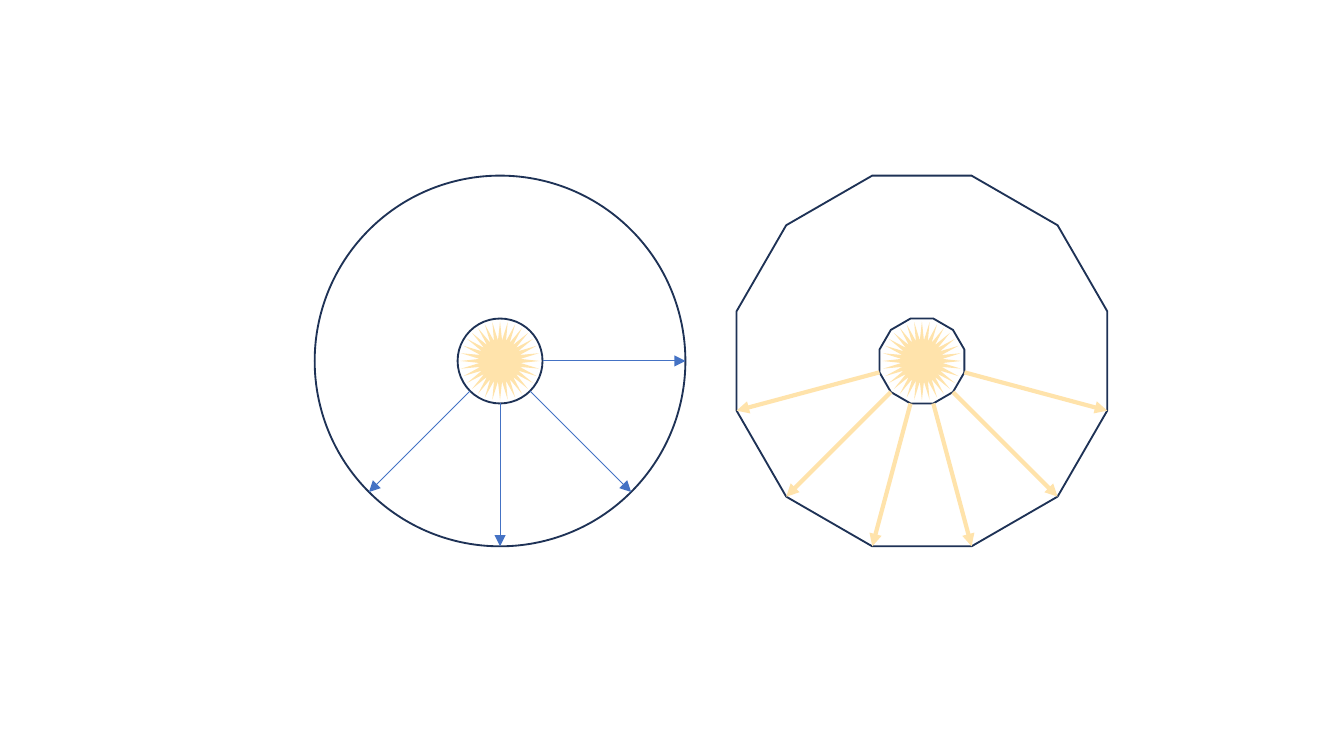
"""Build a slide with rays running from a sun to a circle and to a dodecagon."""
from math import cos, radians, sin

from lxml.etree import SubElement
from pptx import Presentation
from pptx.dml.color import RGBColor
from pptx.enum.shapes import MSO_CONNECTOR, MSO_SHAPE
from pptx.oxml.ns import qn
from pptx.util import Pt

COLORS = {"outline": "1E3256", "sun": "FFE3AB", "ray": "4472C4"}
CENTER_Y = 193.4
CIRCLE_X, DODECAGON_X = 267.9, 493.9
OUTER_RADIUS, INNER_RADIUS, SUN_RADIUS = 99.3, 22.75, 21.2
CIRCLE_ANGLES = (135, 90, 45, 0)
DODECAGON_ANGLES = (105, 75, 45, 135, 165, 15)


def color(name):
    return RGBColor.from_string(COLORS[name])


def add_centered(shapes, kind, center_x, radius):
    shape = shapes.add_shape(kind, Pt(center_x - radius), Pt(CENTER_Y - radius),
                             Pt(2 * radius), Pt(2 * radius))
    shape.shadow.inherit = False
    return shape


def add_outline(shapes, kind, center_x, radius):
    shape = add_centered(shapes, kind, center_x, radius)
    shape.fill.background()
    shape.line.color.rgb = color("outline")
    shape.line.width = Pt(1)


def add_sun(shapes, center_x):
    sun = add_centered(shapes, MSO_SHAPE.STAR_32_POINT, center_x, SUN_RADIUS)
    sun.adjustments[0] = 0.26
    sun.fill.solid()
    sun.fill.fore_color.rgb = color("sun")
    sun.line.fill.background()


def add_rays(shapes, center_x, angles, color_name, width, stretch=1):
    for angle in angles:
        dx, dy = cos(radians(angle)) * stretch, sin(radians(angle)) * stretch
        start, end = [(Pt(center_x + radius * dx), Pt(CENTER_Y + radius * dy))
                      for radius in (INNER_RADIUS, OUTER_RADIUS)]
        ray = shapes.add_connector(MSO_CONNECTOR.STRAIGHT, *start, *end)
        ray.line.color.rgb = color(color_name)
        ray.line.width = Pt(width)
        SubElement(ray.line._get_or_add_ln(), qn("a:tailEnd"), type="triangle")
        SubElement(ray._element.spPr, qn("a:effectLst"))


def main():
    presentation = Presentation()
    presentation.slide_width, presentation.slide_height = Pt(720), Pt(405)
    slide = presentation.slides.add_slide(presentation.slide_layouts[6])

    shapes = slide.shapes
    add_sun(shapes, CIRCLE_X)
    add_outline(shapes, MSO_SHAPE.FLOWCHART_CONNECTOR, CIRCLE_X, OUTER_RADIUS)
    add_outline(shapes, MSO_SHAPE.OVAL, CIRCLE_X, INNER_RADIUS)
    add_rays(shapes, CIRCLE_X, CIRCLE_ANGLES, "ray", 0.5)

    group = slide.shapes.add_group_shape().shapes
    add_outline(group, MSO_SHAPE.DODECAGON, DODECAGON_X, OUTER_RADIUS)
    add_sun(group, DODECAGON_X)
    add_outline(group, MSO_SHAPE.DODECAGON, DODECAGON_X, INNER_RADIUS)
    add_rays(group, DODECAGON_X, DODECAGON_ANGLES, "sun", 2.25,
             stretch=1 / cos(radians(15)))

    presentation.save("out.pptx")


if __name__ == "__main__":
    main()
